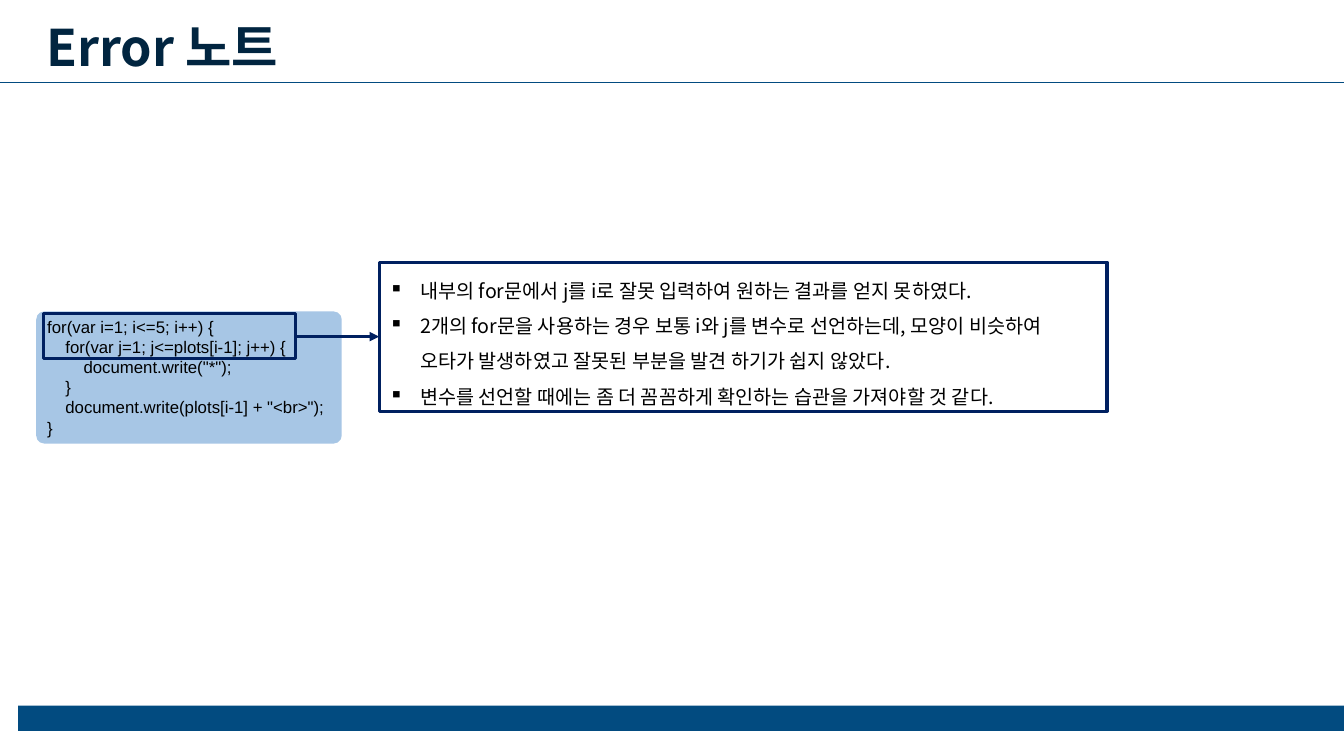
from lxml import etree
from pptx import Presentation
from pptx import util as u
from pptx.dml.color import RGBColor
from pptx.enum import shapes, text
from pptx.oxml.ns import qn

COLORS = {"navy": "002060", "blue": "024B80", "pale": "A7C6E5",
          "title": "012540", "black": "000000"}
KOREAN = "Noto Sans CJK KR"
CODE_INDENT, CODE_STEP = 0.37, 0.18
BULLET_INDENT = 0.31

CODE = [
    (0, "for(var i=1; i<=5; i++) {"),
    (1, "for(var j=1; j<=plots[i-1]; j++) {"),
    (2, 'document.write("*");'),
    (1, "}"),
    (1, 'document.write(plots[i-1] + "<br>");'),
    (0, "}"),
]
NOTES = [
    "내부의 for문에서 j를 i로 잘못 입력하여 원하는 결과를 얻지 못하였다.",
    "2개의 for문을 사용하는 경우 보통 i와 j를 변수로 선언하는데, 모양이 비슷하여 "
    "오타가 발생하였고 잘못된 부분을 발견 하기가 쉽지 않았다.",
    "변수를 선언할 때에는 좀 더 꼼꼼하게 확인하는 습관을 가져야할 것 같다.",
]


def rgb(name):
    return RGBColor.from_string(COLORS[name])


def box(slide, kind, at, fill=None, line=None):
    sp = slide.shapes.add_shape(kind, *map(u.Inches, at))
    sp.shadow.inherit = False
    if fill:
        sp.fill.solid()
        sp.fill.fore_color.rgb = rgb(fill)
    else:
        sp.fill.background()
    if line:
        sp.line.color.rgb = rgb(line)
        sp.line.width = u.Pt(2.25)
    else:
        sp.line.fill.background()
    return sp


def write(sp, lines, size, font=KOREAN, color="black", bold=False,
          spacing=None, bullet=None):
    """Fill sp with (left indent in inches, wording) paragraphs."""
    tf = sp.text_frame
    tf.word_wrap = True
    tf.auto_size = text.MSO_AUTO_SIZE.SHAPE_TO_FIT_TEXT
    tf.vertical_anchor = text.MSO_ANCHOR.TOP
    for i, (indent, wording) in enumerate(lines):
        p = tf.paragraphs[0] if i == 0 else tf.add_paragraph()
        p.alignment = text.PP_ALIGN.LEFT
        p.line_spacing = spacing
        props = p._p.get_or_add_pPr()
        props.set("marL", str(u.Inches(indent)))
        if bullet:
            props.set("indent", str(-u.Inches(indent)))
            etree.SubElement(props, qn("a:buChar"), char=bullet)
        r = p.add_run()
        r.text = wording
        r.font.size = u.Pt(size)
        r.font.bold = bold
        r.font.color.rgb = rgb(color)
        r.font.name = font
        etree.SubElement(r._r.get_or_add_rPr(), qn("a:ea"), typeface=font)


def text_box(slide, at, lines, size, **fmt):
    write(slide.shapes.add_textbox(*map(u.Inches, at)), lines, size, **fmt)


def horizontal_line(slide, left, right, y, color, width, arrow=False):
    cn = slide.shapes.add_connector(
        shapes.MSO_CONNECTOR.STRAIGHT, *map(u.Inches, (left, y, right, y)))
    cn.line.color.rgb = rgb(color)
    cn.line.width = u.Pt(width)
    if arrow:
        etree.SubElement(cn.line._get_or_add_ln(), qn("a:tailEnd"), type="triangle")
    etree.SubElement(cn._element.spPr, qn("a:effectLst"))


def main():
    prs = Presentation()
    prs.slide_width, prs.slide_height = u.Inches(13.33), u.Inches(7.5)
    s = prs.slides.add_slide(prs.slide_layouts[6])
    rect = shapes.MSO_SHAPE.RECTANGLE

    panel = box(s, shapes.MSO_SHAPE.ROUNDED_RECTANGLE, (0.36, 3.09, 3.03, 1.31),
                fill="pale")
    panel.adjustments[0] = 0.06
    box(s, rect, (0.18, 7, 13.15, 0.25), fill="blue")

    text_box(s, (0.36, 0.11, 6.99, 0.71), [(0, "Error 노트")], 36,
             color="title", bold=True)
    horizontal_line(s, 0, 13.33, 0.82, "blue", 0.5)

    code = [(CODE_INDENT + CODE_STEP * level, line) for level, line in CODE]
    text_box(s, (0, 3.09, 3.39, 1.31), code, 12, font="Arial")

    notes = box(s, rect, (3.76, 2.6, 7.22, 1.48), line="navy")
    write(notes, [(BULLET_INDENT, note) for note in NOTES], 14,
          spacing=1.5, bullet="▪")
    horizontal_line(s, 2.94, 3.76, 3.34, "navy", 2.25, arrow=True)
    box(s, rect, (0.43, 3.11, 2.5, 0.45), line="navy")

    prs.save("out.pptx")


if __name__ == "__main__":
    main()
